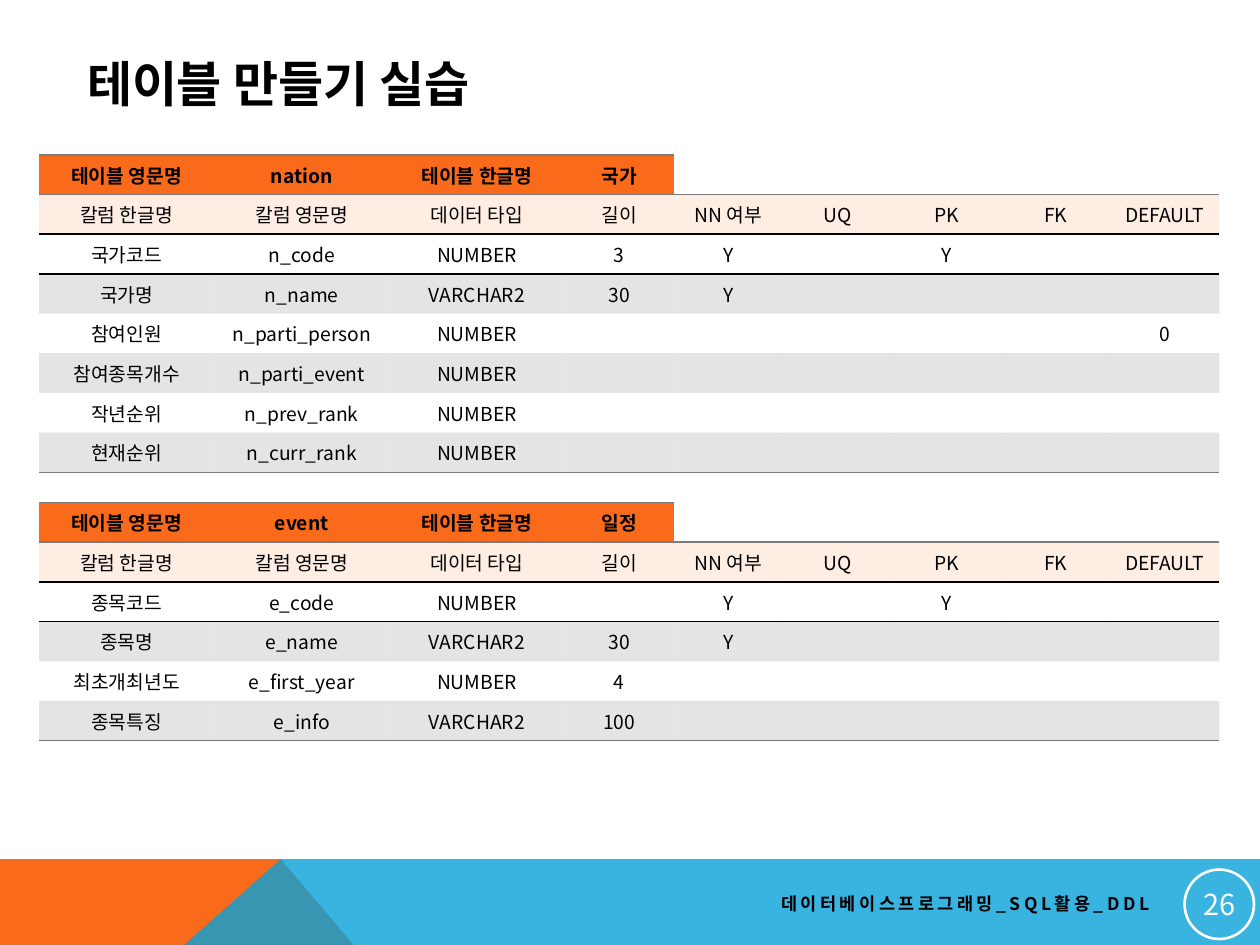
from lxml.etree import SubElement, fromstring
from pptx import Presentation
from pptx.dml.color import RGBColor
from pptx.enum.shapes import MSO_SHAPE
from pptx.enum.text import MSO_ANCHOR, PP_ALIGN
from pptx.oxml.ns import nsdecls, qn
from pptx.util import Cm, Pt

FONT = "Noto Sans CJK KR"
NO_STYLE = "{2D5ABB26-0587-4C30-8999-92F81FD0307C}"
COLORS = {
    "orange": "F96A1B", "peach": "FBA676", "blue": "08A1D9",
    "gray": "797B7E", "black": "000000", "white": "FFFFFF",
}
COLUMN_WIDTHS = [3.53] * 3 + [2.2] * 6
ROW_HEIGHT = 0.8
COLUMN_HEADS = ["칼럼 한글명", "칼럼 영문명", "데이터 타입", "길이",
                "NN 여부", "UQ", "PK", "FK", "DEFAULT"]
NATION = [
    ["국가코드", "n_code", "NUMBER", "3", "Y", "", "Y", "", ""],
    ["국가명", "n_name", "VARCHAR2", "30", "Y", "", "", "", ""],
    ["참여인원", "n_parti_person", "NUMBER", "", "", "", "", "", "0"],
    ["참여종목개수", "n_parti_event", "NUMBER", "", "", "", "", "", ""],
    ["작년순위", "n_prev_rank", "NUMBER", "", "", "", "", "", ""],
    ["현재순위", "n_curr_rank", "NUMBER", "", "", "", "", "", ""],
]
EVENT = [
    ["종목코드", "e_code", "NUMBER", "", "Y", "", "Y", "", ""],
    ["종목명", "e_name", "VARCHAR2", "30", "Y", "", "", "", ""],
    ["최초개최년도", "e_first_year", "NUMBER", "4", "", "", "", "", ""],
    ["종목특징", "e_info", "VARCHAR2", "100", "", "", "", "", ""],
]


def set_fill(fill, color, opacity=100):
    fill.solid()
    fill.fore_color.rgb = RGBColor.from_string(COLORS[color])
    if opacity < 100:
        color_xml = fill._xPr.find(qn("a:solidFill"))[0]
        SubElement(color_xml, qn("a:alpha")).set("val", str(opacity * 1000))


def write_text(frame, text, size, color="black", bold=False,
               align=PP_ALIGN.LEFT, spacing=0):
    frame.text = text
    paragraph = frame.paragraphs[0]
    paragraph.alignment = align
    for run in paragraph.runs:
        run.font.size = Pt(size)
        run.font.bold = bold
        run.font.name = FONT
        run.font.color.rgb = RGBColor.from_string(COLORS[color])
        properties = run._r.get_or_add_rPr()
        SubElement(properties, qn("a:ea")).set("typeface", FONT)
        if spacing:
            properties.set("spc", str(spacing * 100))
    if not text:
        # Keeps empty cells from stretching their row
        paragraph._p.get_or_add_endParaRPr().set("sz", str(size * 100))


def add_band(slide, points, color, opacity=100):
    corners = [(Cm(x), Cm(y)) for x, y in points]
    builder = slide.shapes.build_freeform(*corners[0])
    builder.add_line_segments(corners[1:], close=True)
    band = builder.convert_to_shape()
    band.shadow.inherit = False
    band.line.fill.background()
    set_fill(band.fill, color, opacity)


def add_border(cell, side, color):
    line = fromstring(
        f'<a:ln{side} {nsdecls("a")} w="12700"><a:solidFill>'
        f'<a:srgbClr val="{COLORS[color]}"/></a:solidFill></a:ln{side}>')
    cell._tc.get_or_add_tcPr().insert(0, line)


def format_cell(cell, text, row, column, last_row):
    cell.margin_left = cell.margin_right = Cm(0.18)
    cell.margin_top = cell.margin_bottom = Cm(0.05)
    cell.vertical_anchor = MSO_ANCHOR.MIDDLE
    write_text(cell.text_frame, text, 11, bold=row == 0, align=PP_ALIGN.CENTER)

    # Heading fills, then banding on every second data row
    if row == 0 and column < 4:
        set_fill(cell.fill, "orange")
    elif row == 1:
        set_fill(cell.fill, "peach", 20)
    elif row > 1 and row % 2:
        set_fill(cell.fill, "gray", 20)
    else:
        cell.fill.background()

    # Bottom rules go in before top rules, as each is put first
    if row in (0, last_row):
        add_border(cell, "B", "gray")
    elif row in (1, 2):
        add_border(cell, "B", "black")
    if row == 0 and column < 4:
        add_border(cell, "T", "gray")
    elif row == 2:
        add_border(cell, "T", "black")


def add_definition(slide, top, english_name, korean_name, columns):
    name_row = ["테이블 영문명", english_name, "테이블 한글명", korean_name] + [""] * 5
    rows = [name_row, COLUMN_HEADS] + columns
    table = slide.shapes.add_table(
        len(rows), len(COLUMN_WIDTHS), Cm(0.79), Cm(top),
        Cm(sum(COLUMN_WIDTHS)), Cm(ROW_HEIGHT * len(rows))).table
    table._tbl.tblPr.find(qn("a:tableStyleId")).text = NO_STYLE
    table.first_row = table.horz_banding = False
    for column, width in zip(table.columns, COLUMN_WIDTHS):
        column.width = Cm(width)
    for r, texts in enumerate(rows):
        table.rows[r].height = Cm(ROW_HEIGHT)
        for c, text in enumerate(texts):
            format_cell(table.cell(r, c), text, r, c, len(rows) - 1)


def add_title(slide, text):
    title = slide.shapes.title
    title.left, title.top, title.width, title.height = (
        Cm(1.5), Cm(0.91), Cm(20.88), Cm(1.52))
    title.text_frame.vertical_anchor = MSO_ANCHOR.MIDDLE
    write_text(title.text_frame, text, 28, bold=True)


def add_footer(slide, text):
    footer = slide.shapes.add_textbox(Cm(9.09), Cm(17.83), Cm(14.33), Cm(0.76))
    frame = footer.text_frame
    frame.word_wrap = True
    frame.vertical_anchor = MSO_ANCHOR.MIDDLE
    write_text(frame, text, 10, bold=True, align=PP_ALIGN.RIGHT, spacing=2)


def add_page_number(slide, number):
    badge = slide.shapes.add_shape(
        MSO_SHAPE.OVAL, Cm(23.88), Cm(17.53), Cm(1.4), Cm(1.4))
    badge.shadow.inherit = False
    badge.fill.background()
    badge.line.color.rgb = RGBColor.from_string(COLORS["white"])
    badge.line.width = Pt(1.5)
    frame = badge.text_frame
    frame.margin_left = frame.margin_right = Cm(0.03)
    frame.margin_top = frame.margin_bottom = Cm(0.03)
    frame.vertical_anchor = MSO_ANCHOR.MIDDLE
    write_text(frame, number, 16.5, "white", align=PP_ALIGN.CENTER)


def main():
    deck = Presentation()
    deck.slide_width, deck.slide_height = Cm(25.4), Cm(19.05)
    slide = deck.slides.add_slide(deck.slide_layouts[5])

    # Bottom bands
    band_top, band_bottom, peak = 17.32, 22.35, 5.66
    add_band(slide, [(0, band_bottom), (0, band_top), (peak, band_top),
                     (9.93, band_bottom)], "orange")
    add_band(slide, [(0, band_bottom), (peak, band_top), (25.4, band_top),
                     (25.4, band_bottom)], "blue", 80)

    # Title and footer
    add_title(slide, "테이블 만들기 실습")
    add_page_number(slide, "26")
    add_footer(slide, "데이터베이스프로그래밍_SQL활용_DDL")

    # Table definitions
    add_definition(slide, 3.12, "nation", "국가", NATION)
    add_definition(slide, 10.13, "event", "일정", EVENT)

    deck.save("out.pptx")


if __name__ == "__main__":
    main()
